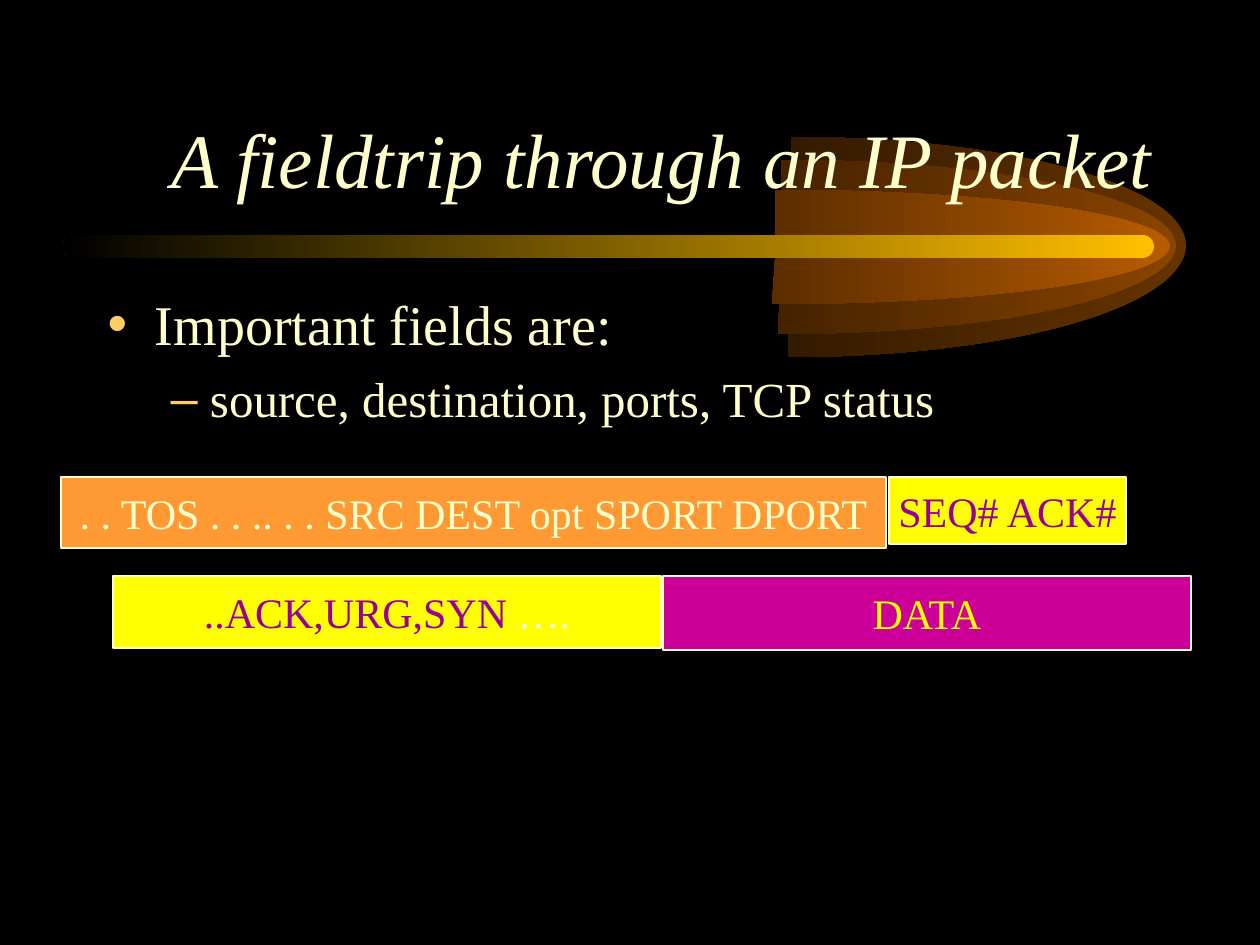
import copy

from lxml import etree
from pptx import Presentation
from pptx import util as u
from pptx.dml.color import RGBColor
from pptx.enum import shapes, text
from pptx.oxml.ns import qn

CREAM, GOLD, YELLOW, PURPLE = "FFFFCC", "FFCC66", "FFFF00", "990099"

# Bezier points of the right half of an ellipse, in radii from its centre
HALF_ELLIPSE = ((0, -1), (0.36, -1), (0.69, -0.81), (0.87, -0.5),
                (1.05, -0.19), (1.04, 0.19), (0.86, 0.5),
                (0.68, 0.81), (0.35, 1), (-0.01, 1))


def px(n):
    """Turn pixels (126 to the inch) into EMU."""
    return u.Emu(round(n * 914400 / 126))


def rgb(value):
    return RGBColor.from_string(value)


def curve(path):
    """Join each three line ends of a path into one Bezier curve."""
    lines = path.findall(qn("a:lnTo"))[:9]
    for i in range(0, 9, 3):
        bez = etree.Element(qn("a:cubicBezTo"))
        lines[i].addprevious(bez)
        for line in lines[i:i + 3]:
            bez.append(line[0])
            path.remove(line)


class Deck:
    font = "Times New Roman"

    def __init__(self, width, height):
        self.prs = Presentation()
        self.prs.slide_width, self.prs.slide_height = px(width), px(height)
        self.s = self.prs.slides.add_slide(self.prs.slide_layouts[1])
        fill = self.s.background.fill
        fill.solid()
        fill.fore_color.rgb = rgb("000000")

    def style(self, r, size, color, italic=None):
        r.font.name, r.font.size = self.font, u.Pt(size)
        r.font.color.rgb, r.font.italic = rgb(color), italic

    def fade(self, sp, color):
        """Fill without outline, from a colour at the right to black at the left."""
        sp.fill.gradient()
        sp.fill.gradient_angle = 180
        for stop, c, pos in zip(sp.fill.gradient_stops, (color, "000000"), (0, 1)):
            stop.color.rgb, stop.position = rgb(c), pos
        sp.line.fill.background()
        sp.shadow.inherit = False

    def half_ellipse(self, cx, cy, rx, ry, color):
        """Draw the right half, in a frame as wide as the whole ellipse."""
        pts = [(px(cx + rx * x), px(cy + ry * y)) for x, y in HALF_ELLIPSE]
        fb = self.s.shapes.build_freeform(px(cx - rx), px(cy - ry), scale=1.0)
        fb.move_to(*pts[0])
        fb.add_line_segments(pts[1:] + [(px(cx), px(cy))], close=True)
        sp = fb.convert_to_shape()
        sp.width = px(2 * rx)
        path = sp._element.find(".//" + qn("a:path"))
        path.set("w", str(sp.width))
        path.remove(path[0])
        curve(path)
        edge = copy.deepcopy(path)
        edge.set("fill", "none")
        for part in edge[-2:]:
            edge.remove(part)
        path.addnext(edge)
        self.fade(sp, color)

    def bar(self, x, y, w, h, color):
        sp = self.s.shapes.add_shape(shapes.MSO_SHAPE.ROUNDED_RECTANGLE,
                                     px(x), px(y), px(w), px(h))
        sp.adjustments[0] = 0.5
        self.fade(sp, color)

    def placeholder(self, idx, x, y, w, h, anchor):
        """Place a template placeholder in front of everything drawn so far."""
        sp = self.s.placeholders[idx]
        sp.left, sp.top, sp.width, sp.height = px(x), px(y), px(w), px(h)
        self.s.shapes._spTree.append(sp._element)
        tf = sp.text_frame
        tf.auto_size = text.MSO_AUTO_SIZE.NONE
        tf.vertical_anchor = anchor
        return tf

    def title(self, words, *box):
        tf = self.placeholder(0, *box, text.MSO_ANCHOR.BOTTOM)
        tf.text = words
        p = tf.paragraphs[0]
        p.alignment = text.PP_ALIGN.RIGHT
        self.style(p.runs[0], 44, CREAM, italic=True)

    def bullets(self, items, *box):
        """Fill the body from (words, level, size, space before) items."""
        tf = self.placeholder(1, *box, text.MSO_ANCHOR.TOP)
        tf.text = "\n".join(item[0] for item in items)
        for p, (_, level, size, before) in zip(tf.paragraphs, items):
            p.level, p.space_before = level, u.Pt(before)
            clr = etree.SubElement(p._p.get_or_add_pPr(), qn("a:buClr"))
            etree.SubElement(clr, qn("a:srgbClr"), val=GOLD)
            self.style(p.runs[0], size, CREAM)

    def field(self, runs, fill, x, y, w, h):
        """Draw a packet field holding (words, colour) runs."""
        sp = self.s.shapes.add_shape(shapes.MSO_SHAPE.RECTANGLE,
                                     px(x), px(y), px(w), px(h))
        sp.shadow.inherit = False
        sp.fill.solid()
        sp.fill.fore_color.rgb = rgb(fill)
        sp.line.color.rgb, sp.line.width = rgb(CREAM), u.Pt(0.75)
        tf = sp.text_frame
        tf.word_wrap = False
        tf.vertical_anchor = text.MSO_ANCHOR.MIDDLE
        p = tf.paragraphs[0]
        p.alignment = text.PP_ALIGN.CENTER
        for words, color in runs:
            r = p.add_run()
            r.text = words
            self.style(r, 24, color)


def main():
    d = Deck(1260, 945)
    for cx, ry, color in ((792, 110, "663300"),
                          (782, 87, "894400"),
                          (776, 57, "B75B00")):
        d.half_ellipse(cx, 247, 394, ry, color)
    d.bar(63, 235, 1091, 23, "FFBF00")
    d.title("A fieldtrip through an IP packet", 94, 53, 1071, 157)
    d.bullets([("Important fields are:", 0, 32, 0),
               ("source, destination, ports, TCP status", 1, 28, 7)],
              95, 283, 1071, 567)
    d.field([(". . TOS . . .. . . SRC DEST opt SPORT DPORT", CREAM)],
            "FF9933", 61, 477, 825, 71)
    d.field([("DATA", YELLOW)], "CC0099", 663, 576, 528, 74)
    d.field([("SEQ# ACK#", PURPLE)], YELLOW, 889, 477, 237, 67)
    d.field([("..ACK,URG,SYN", PURPLE), (" ….", CREAM)],
            YELLOW, 113, 576, 548, 72)
    d.prs.save("out.pptx")


if __name__ == "__main__":
    main()
